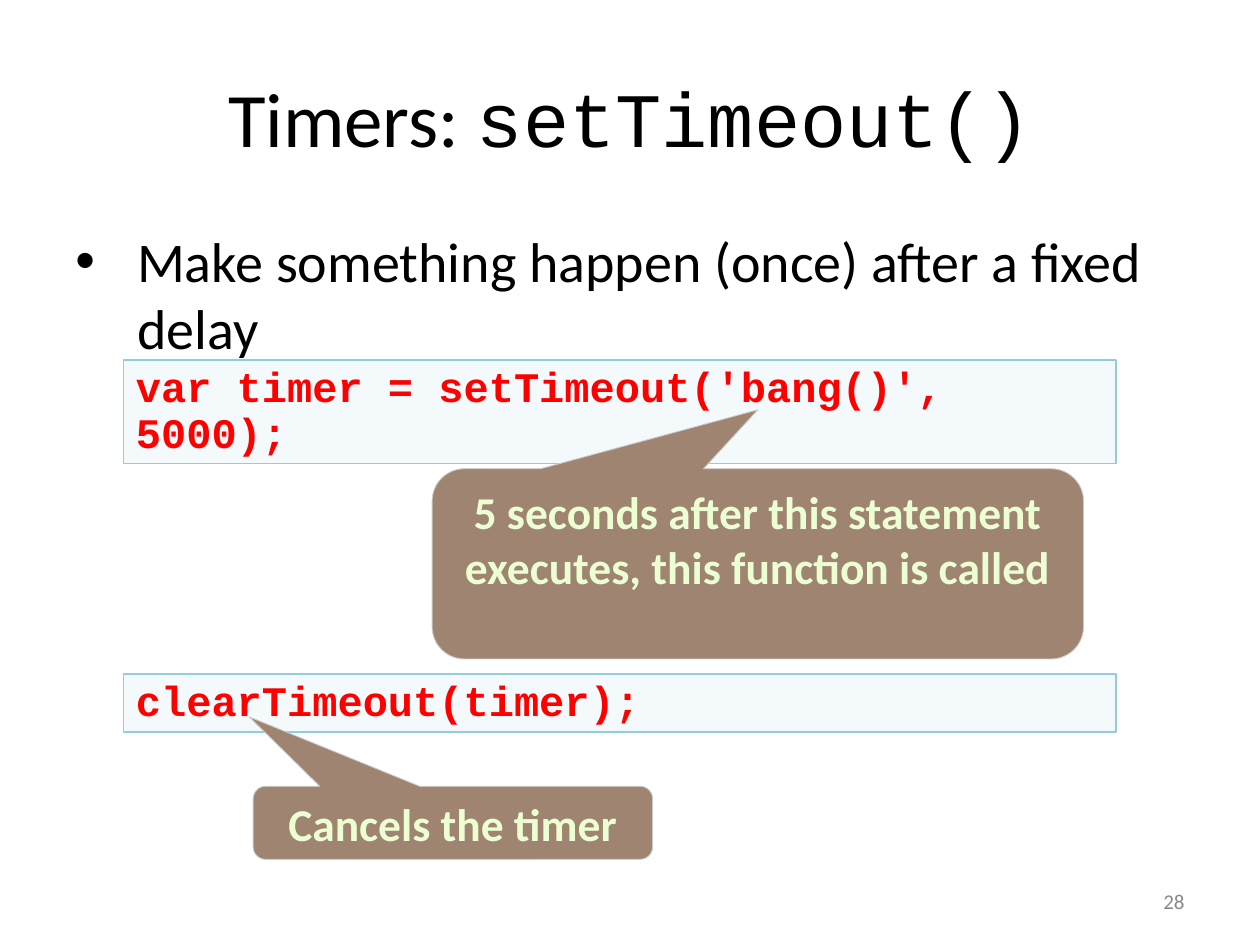
from lxml import etree
from pptx import Presentation
from pptx.dml.color import RGBColor
from pptx.enum.shapes import MSO_SHAPE as Shape
from pptx.enum.text import MSO_ANCHOR as Anchor, MSO_AUTO_SIZE as AutoSize, PP_ALIGN as Align
from pptx.oxml.ns import qn
from pptx.util import Inches, Pt

BLACK = RGBColor(0x00, 0x00, 0x00)
GREY = RGBColor(0x89, 0x89, 0x89)
RED = RGBColor(0xFF, 0x00, 0x00)
CODE_FILL = RGBColor(0xB7, 0xDE, 0xE8)
CODE_LINE = RGBColor(0x93, 0xCD, 0xDD)
NOTE_FILL = RGBColor(0x9F, 0x84, 0x71)
NOTE_LINE = RGBColor(0xCC, 0xCC, 0xCC)
NOTE_TEXT = RGBColor(0xEB, 0xFF, 0xD2)
BODY_FONT, CODE_FONT = "Calibri", "Courier New"

TITLE = [("Timers: ", BODY_FONT), ("setTimeout()", CODE_FONT)]
BULLET = "Make something happen (once) after a fixed delay"
PAGE_NUMBER = "28"
CODE_LEFT, CODE_WIDTH = 0.98, 7.88
# text, top, height
CODE_BOXES = [
    ("var timer = setTimeout('bang()', 5000);", 2.86, 0.82),
    ("clearTimeout(timer);", 5.35, 0.46),
]
# text, box, callout tip and corner adjustments
CALLOUTS = [
    ("5 seconds after this statement executes, this function is called",
     (3.43, 3.72, 5.17, 1.51), (0, -0.81, 0.17)),
    ("Cancels the timer", (2.01, 6.24, 3.17, 0.58), (-0.51, -1.45, 0.17)),
]


def write(shape, runs, size, color, font=BODY_FONT, bold=False, align=Align.LEFT,
          anchor=Anchor.TOP, fit=AutoSize.NONE, before=0, spacing=None):
    """Fill a shape with one paragraph; runs is a string or (text, font) pairs."""
    frame = shape.text_frame
    frame.word_wrap = True
    frame.auto_size = fit
    frame.vertical_anchor = anchor
    paragraph = frame.paragraphs[0]
    paragraph.alignment = align
    paragraph.space_before = Pt(before)
    if spacing:
        paragraph.line_spacing = spacing
    for text, name in [(runs, font)] if isinstance(runs, str) else runs:
        run = paragraph.add_run()
        run.text = text
        run.font.name = name
        run.font.size = Pt(size)
        run.font.bold = bold
        run.font.color.rgb = color
    return paragraph


def add_bullet(paragraph, indent):
    properties = paragraph._p.get_or_add_pPr()
    properties.set("marL", str(Inches(indent)))
    properties.set("indent", str(-Inches(indent)))
    etree.SubElement(properties, qn("a:buFont"), typeface="Arial")
    etree.SubElement(properties, qn("a:buChar"), char="•")


def add_box(slide, kind, box, fill, line, line_width):
    shape = slide.shapes.add_shape(kind, *map(Inches, box))
    shape.shadow.inherit = False
    shape.fill.solid()
    shape.fill.fore_color.rgb = fill
    shape.line.color.rgb = line
    shape.line.width = Pt(line_width)
    return shape


def set_opacity(shape, percent):
    color = shape._element.spPr.find(qn("a:solidFill"))[0]
    etree.SubElement(color, qn("a:alpha"), val=str(percent * 1000))


def main():
    presentation = Presentation()
    presentation.slide_width, presentation.slide_height = Inches(10), Inches(7.5)
    slide = presentation.slides.add_slide(presentation.slide_layouts[5])

    title = slide.shapes.title
    title.left, title.top, title.width, title.height = map(Inches, (0.5, 0.3, 9, 1.25))
    write(title, TITLE, 44, BLACK, align=Align.CENTER, anchor=Anchor.MIDDLE)

    body = slide.shapes.add_textbox(*map(Inches, (0.5, 1.75, 9, 4.95)))
    add_bullet(write(body, BULLET, 32, BLACK, before=8), 0.49)

    number = slide.shapes.add_textbox(*map(Inches, (7.17, 6.95, 2.33, 0.4)))
    write(number, PAGE_NUMBER, 12, GREY, align=Align.RIGHT, anchor=Anchor.MIDDLE)

    for text, top, height in CODE_BOXES:
        box = (CODE_LEFT, top, CODE_WIDTH, height)
        shape = add_box(slide, Shape.RECTANGLE, box, CODE_FILL, CODE_LINE, 1)
        set_opacity(shape, 15)
        write(shape, text, 24, RED, font=CODE_FONT, bold=True, spacing=0.9,
              fit=AutoSize.SHAPE_TO_FIT_TEXT)

    for text, box, adjustments in CALLOUTS:
        shape = add_box(slide, Shape.ROUNDED_RECTANGULAR_CALLOUT, box,
                        NOTE_FILL, NOTE_LINE, 0.5)
        for index, value in enumerate(adjustments):
            shape.adjustments[index] = value
        write(shape, text, 26, NOTE_TEXT, bold=True, align=Align.CENTER, before=16.2)

    presentation.save("out.pptx")


if __name__ == "__main__":
    main()
